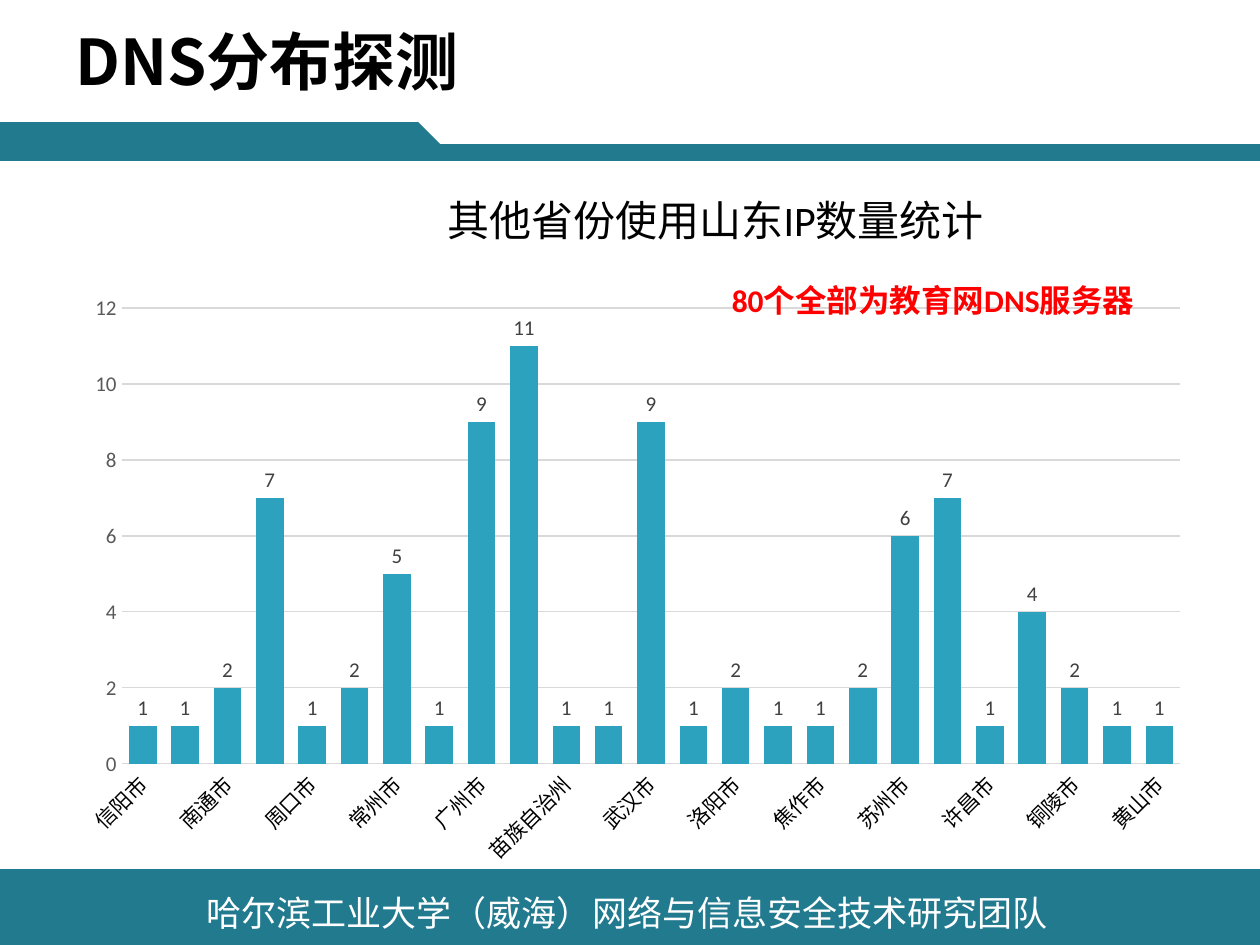
from lxml import etree
from pptx import Presentation
from pptx.chart.data import CategoryChartData
from pptx.dml.color import RGBColor
from pptx.enum.chart import XL_CHART_TYPE, XL_LABEL_POSITION, XL_TICK_MARK
from pptx.enum.shapes import MSO_CONNECTOR, MSO_SHAPE
from pptx.enum.text import MSO_ANCHOR
from pptx.oxml import parse_xml
from pptx.oxml.ns import nsdecls, qn
from pptx.util import Inches, Pt

COLUMN = XL_CHART_TYPE.COLUMN_CLUSTERED
OUTSIDE_END = XL_LABEL_POSITION.OUTSIDE_END
NO_TICK = XL_TICK_MARK.NONE
STRAIGHT = MSO_CONNECTOR.STRAIGHT
RECTANGLE = MSO_SHAPE.RECTANGLE
PENTAGON = MSO_SHAPE.PENTAGON
TOP = MSO_ANCHOR.TOP
MIDDLE = MSO_ANCHOR.MIDDLE

TEAL = RGBColor(0x22, 0x7A, 0x8F)
BAR_BLUE = RGBColor(0x2D, 0xA2, 0xBF)
WHITE = RGBColor(0xFF, 0xFF, 0xFF)
BLACK = RGBColor(0, 0, 0)
RED = RGBColor(0xFF, 0, 0)
GRID_GRAY = RGBColor(0xD9, 0xD9, 0xD9)
AXIS_GRAY = RGBColor(0x59, 0x59, 0x59)
LABEL_GRAY = RGBColor(0x40, 0x40, 0x40)

LATIN = "Calibri"
CHINESE = "Noto Sans CJK SC"

CITY_COUNTS = {
    "信阳市": 1, "南京市": 1, "南通市": 2, "合肥市": 7, "周口市": 1,
    "宿州市": 2, "常州市": 5, "平顶山市": 1, "广州市": 9, "徐州市": 11,
    "苗族自治州": 1, "扬州市": 1, "武汉市": 9, "池州市": 1, "洛阳市": 2,
    "湘潭市": 1, "焦作市": 1, "芜湖市": 2, "苏州市": 6, "蚌埠市": 7,
    "许昌市": 1, "郑州市": 4, "铜陵市": 2, "驻马店市": 1, "黄山市": 1,
}


def set_font(font, size, color, name=LATIN, bold=False):
    font.size = Pt(size)
    font.color.rgb = color
    font.name = name
    font.bold = bold


def add_text(slide, text, left, top, width, height, *, size, color,
             name=LATIN, bold=False, anchor=TOP):
    box = slide.shapes.add_textbox(Inches(left), Inches(top), Inches(width), Inches(height))
    frame = box.text_frame
    frame.word_wrap = True
    frame.vertical_anchor = anchor
    run = frame.paragraphs[0].add_run()
    run.text = text
    set_font(run.font, size, color, name, bold)
    east_asian = etree.SubElement(run.font._element, qn("a:ea"))
    east_asian.set("typeface", CHINESE)


def add_block(slide, kind, left, top, width, height, color):
    shape = slide.shapes.add_shape(
        kind, Inches(left), Inches(top), Inches(width), Inches(height))
    shape.shadow.inherit = False
    shape.fill.solid()
    shape.fill.fore_color.rgb = color
    shape.line.fill.background()


def add_rule(slide, left, right, y, weight):
    line = slide.shapes.add_connector(
        STRAIGHT, Inches(left), Inches(y), Inches(right), Inches(y))
    line.line.color.rgb = TEAL
    line.line.width = Pt(weight)
    etree.SubElement(line._element.spPr, qn("a:effectLst"))


def place_title(title, left, top):
    """Put the chart title at fractions of the chart's width and height."""
    element = title._element
    for old in element.findall(qn("c:layout")):
        element.remove(old)
    element.find(qn("c:tx")).addnext(parse_xml(
        f'<c:layout {nsdecls("c")}><c:manualLayout>'
        '<c:xMode val="edge"/><c:yMode val="edge"/>'
        f'<c:x val="{left}"/><c:y val="{top}"/>'
        '</c:manualLayout></c:layout>'))


def style_axes(chart):
    cities, counts = chart.category_axis, chart.value_axis
    for axis, color in ((cities, BLACK), (counts, AXIS_GRAY)):
        axis.major_tick_mark = NO_TICK
        axis.minor_tick_mark = NO_TICK
        set_font(axis.tick_labels.font, 12, color)
    cities._element.txPr.find(qn("a:bodyPr")).set("rot", "-2700000")
    counts.minimum_scale, counts.maximum_scale, counts.major_unit = 0, 12, 2
    counts.format.line.fill.background()
    for line in (cities.format.line, counts.major_gridlines.format.line):
        line.color.rgb = GRID_GRAY
        line.width = Pt(0.75)


def add_city_chart(slide):
    data = CategoryChartData()
    data.categories = list(CITY_COUNTS)
    data.add_series("Series 1", list(CITY_COUNTS.values()))
    chart = slide.shapes.add_chart(
        COLUMN, Inches(0.51), Inches(1.39), Inches(9.04), Inches(5.59), data).chart
    set_font(chart.font, 12, BLACK)
    chart.has_legend = False

    run = chart.chart_title.text_frame.paragraphs[0].add_run()
    run.text = "其他省份使用山东IP数量统计"
    set_font(run.font, 24, BLACK)
    chart.chart_title.include_in_layout = False
    place_title(chart.chart_title, 0.33, 0)
    style_axes(chart)

    plot = chart.plots[0]
    plot.gap_width = 54
    plot.vary_by_categories = False
    plot.has_data_labels = True
    plot.data_labels.show_value = True
    plot.data_labels.position = OUTSIDE_END
    set_font(plot.data_labels.font, 12, LABEL_GRAY)
    fill = plot.series[0].format.fill
    fill.solid()
    fill.fore_color.rgb = BAR_BLUE


def add_frame(slide):
    """Draw the header band and the footer band."""
    add_block(slide, RECTANGLE, -0.02, 6.99, 10.04, 0.51, TEAL)
    add_block(slide, PENTAGON, -0.02, 0.97, 3.54, 0.4, TEAL)
    add_block(slide, RECTANGLE, -0.01, 1.21, 4.93, 0.39, WHITE)
    add_rule(slide, -0.04, 10, 1.21, 10)
    add_rule(slide, -0.01, 10.03, 6.95, 8)
    add_text(slide, "哈尔滨工业大学（威海）网络与信息安全技术研究团队",
             1.54, 7.03, 7.16, 0.44, size=20, color=WHITE, name=CHINESE)


def main():
    presentation = Presentation()
    presentation.slide_width = Inches(10)
    presentation.slide_height = Inches(7.5)
    slide = presentation.slides.add_slide(presentation.slide_layouts[6])
    add_frame(slide)
    add_text(slide, "DNS分布探测", 0.5, -0.02, 9, 0.99,
             size=36, color=BLACK, name=CHINESE, bold=True, anchor=MIDDLE)
    add_city_chart(slide)
    add_text(slide, "80个全部为教育网DNS服务器", 5.71, 2.18, 3.46, 0.4,
             size=18, color=RED, bold=True)
    presentation.save("out.pptx")


if __name__ == "__main__":
    main()
